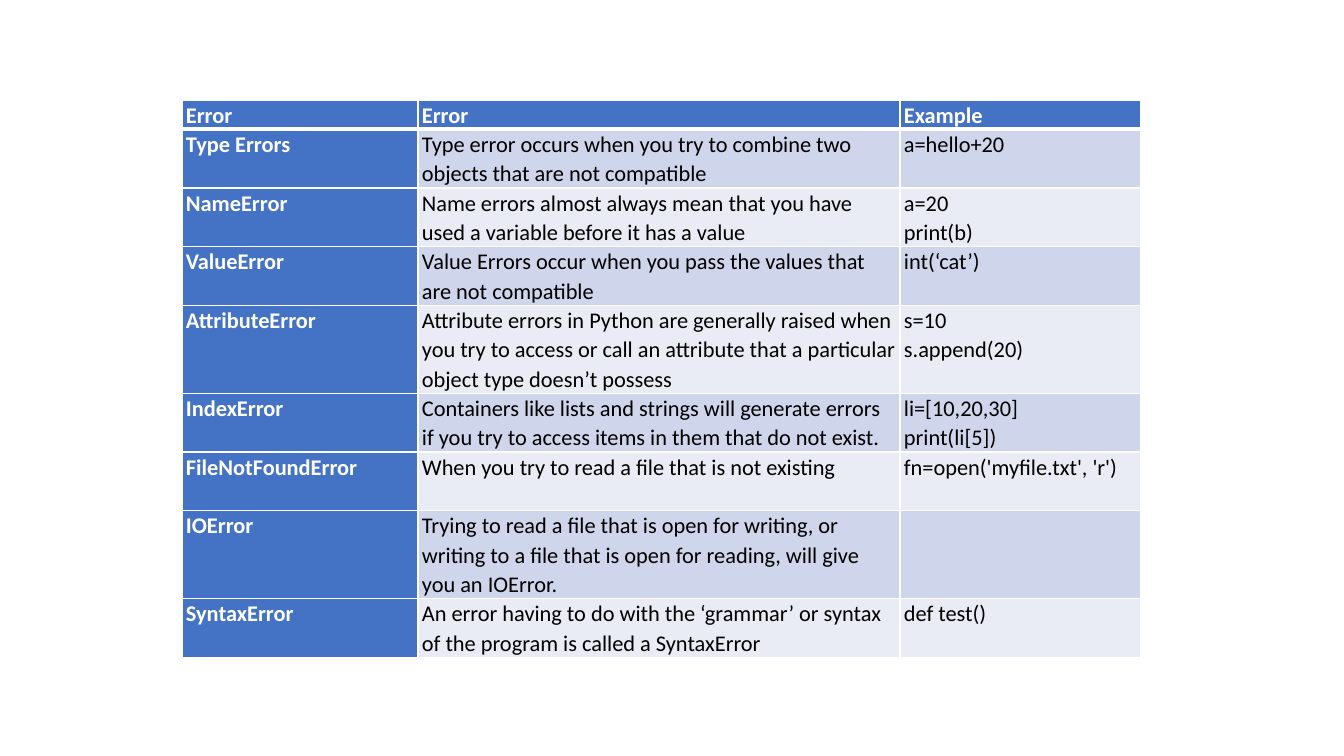
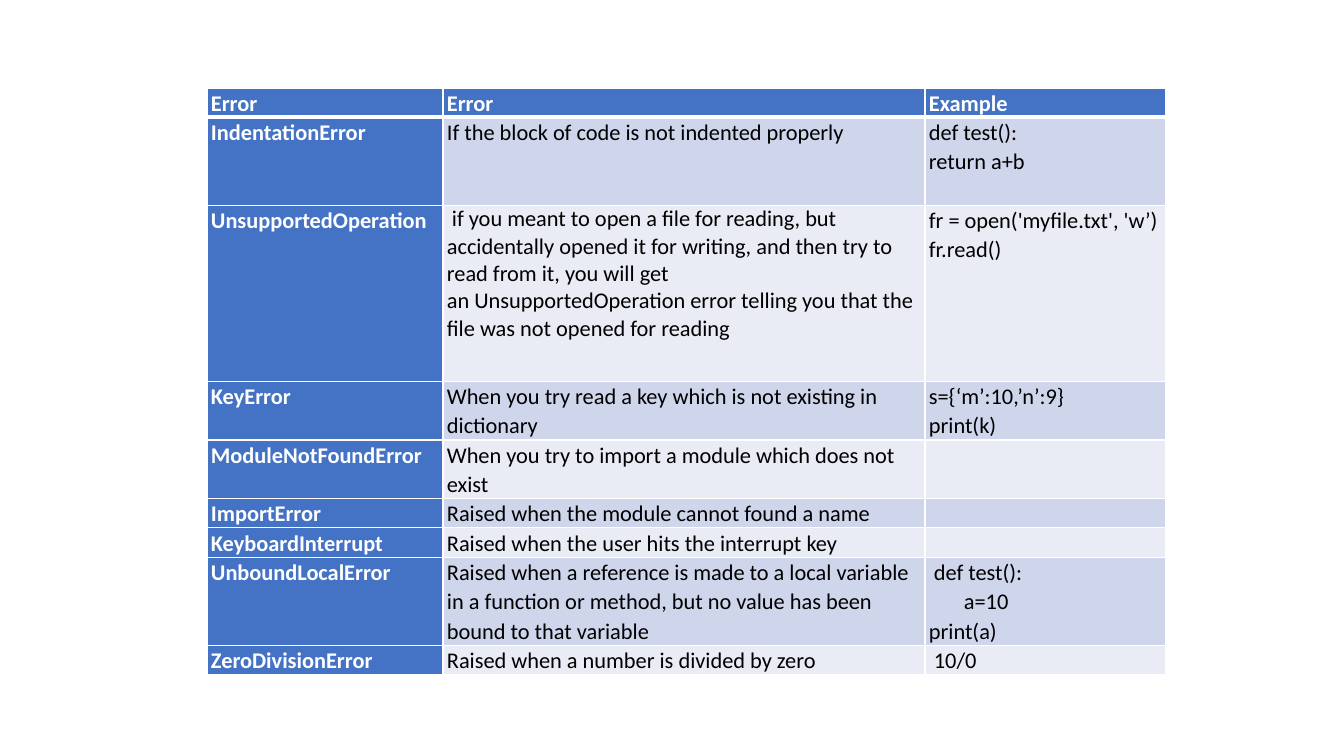
from lxml.etree import SubElement
from pptx import Presentation
from pptx.dml.color import RGBColor
from pptx.oxml.ns import qn
from pptx.util import Emu, Pt

# Content: name, meaning, example lines, height in text lines
# A line of text may be a pair: first-line indent in pixels, text
HEAD = ("Error", "Error", ["Example"], 1)
BASIC = [
    HEAD,
    ("Type Errors", "Type error occurs when you try to combine two objects "
     "that are not compatible", ["a=hello+20"], 2),
    ("NameError", "Name errors almost always mean that you have used a "
     "variable before it has a value", ["a=20", "print(b)"], 2),
    ("ValueError", "Value Errors occur when you pass the values that are "
     "not compatible", ["int(‘cat’)"], 2),
    ("AttributeError", "Attribute errors in Python are generally raised when "
     "you try to access or call an attribute that a particular object type "
     "doesn’t possess", ["s=10", "s.append(20)"], 3),
    ("IndexError", "Containers like lists and strings will generate errors "
     "if you try to access items in them that do not exist.",
     ["li=[10,20,30]", "print(li[5])"], 2),
    ("FileNotFoundError", "When you try to read a file that is not existing",
     ["fn=open('myfile.txt', 'r')"], 2),
    ("IOError", "Trying to read a file that is open for writing, or writing "
     "to a file that is open for reading, will give you an\u00a0IOError.",
     [], 3),
    ("SyntaxError", "An error having to do with the ‘grammar’ or syntax of "
     "the program is called a\u00a0SyntaxError", ["def test()"], 2),
]
MORE = [
    HEAD,
    ("IndentationError", "If the block of code is not indented properly",
     ["def test():", "return a+b"], 3),
    ("UnsupportedOperation", (5, "if you meant to open a file for reading, "
     "but accidentally opened it for writing, and then try to read from it, "
     "you will get an\u00a0UnsupportedOperation\u00a0error telling you that "
     "the file was not opened for reading"),
     ["fr = open('myfile.txt', 'w’)", "fr.read()"], 6),
    ("KeyError", "When you try read a key which is not existing in "
     "dictionary", ["s={‘m’:10,’n’:9}", "print(k)"], 2),
    ("ModuleNotFoundError", "When you try to import a module which does not "
     "exist", [], 2),
    ("ImportError", "Raised when the module cannot found a name", [], 1),
    ("KeyboardInterrupt", "Raised when the user hits the interrupt key",
     [], 1),
    ("UnboundLocalError", "Raised when a reference is made to a local "
     "variable in a function or method, but no value has been bound to that "
     "variable", [(5, "def test():"), (35, "a=10"), "print(a)"], 3),
    ("ZeroDivisionError", "Raised when a number is divided by zero",
     [(5, "10/0")], 1),
]
SLIDES = [(182, 100, BASIC), (207, 88, MORE)]

# Shared style
BLUE, WHITE, BLACK = "4472C4", "FFFFFF", "000000"
BANDS = ["E9EBF5", "CFD5EA"]
FONT, SIZE, LEAD = "Calibri", 16, 1.07
COLS = [236, 482, 241]
LINE = 29.33
PAD = 4
LOOSE = "UnsupportedOperation"


def px(n):
    return Emu(round(n * 914400 / 100.8))


def rgb(code):
    return RGBColor.from_string(code)


def edge(cell, side, wide):
    line = SubElement(cell._tc.get_or_add_tcPr(), qn("a:" + side),
                      w=str(Pt(wide)))
    fill = SubElement(line, qn("a:solidFill"))
    SubElement(fill, qn("a:srgbClr"), val=WHITE)


def write(par, item, ink, bold, lead):
    dent, text = item if isinstance(item, tuple) else (0, item)
    par.line_spacing = lead
    if dent:
        props = par._p.get_or_add_pPr()
        props.set("marL", "0")
        props.set("indent", str(px(dent)))
    run = par.add_run()
    run.text = text
    font = run.font
    font.name, font.size, font.bold = FONT, Pt(SIZE), bold
    font.color.rgb = rgb(ink)


def dress(cell, row, col):
    cell.margin_left = cell.margin_right = px(PAD)
    cell.margin_top = cell.margin_bottom = 0
    # Borders, with a thick rule below the header
    for side in ("lnL", "lnR", "lnT", "lnB"):
        thick = (row, side) in ((0, "lnB"), (1, "lnT"))
        edge(cell, side, 3 if thick else 1)
    cell.fill.solid()
    shade = BLUE if row == 0 or col == 0 else BANDS[row % 2]
    cell.fill.fore_color.rgb = rgb(shade)


def fill(cell, lines, strong, lead):
    frame = cell.text_frame
    for i, item in enumerate(lines):
        par = frame.add_paragraph() if i else frame.paragraphs[0]
        write(par, item, WHITE if strong else BLACK, strong, lead)
    if not lines:
        # Keeps an empty cell as low as its row
        SubElement(frame.paragraphs[0]._p, qn("a:endParaRPr"),
                   sz=str(SIZE * 100))


def build(deck, left, top, rows):
    slide = deck.slides.add_slide(deck.slide_layouts[6])
    high = LINE * sum(row[-1] for row in rows)
    grid = slide.shapes.add_table(len(rows), len(COLS), px(left), px(top),
                                  px(sum(COLS)), px(high)).table
    for col, wide in zip(grid.columns, COLS):
        col.width = px(wide)
    for r, (name, note, code, count) in enumerate(rows):
        grid.rows[r].height = px(LINE * count)
        for c, lines in enumerate(([name], [note], code)):
            cell = grid.cell(r, c)
            dress(cell, r, c)
            lead = 1.0 if name == LOOSE and c == 1 else LEAD
            fill(cell, lines, r == 0 or c == 0, lead)


deck = Presentation()
deck.slide_width, deck.slide_height = px(1344), px(756)
for left, top, rows in SLIDES:
    build(deck, left, top, rows)
deck.save("out.pptx")
